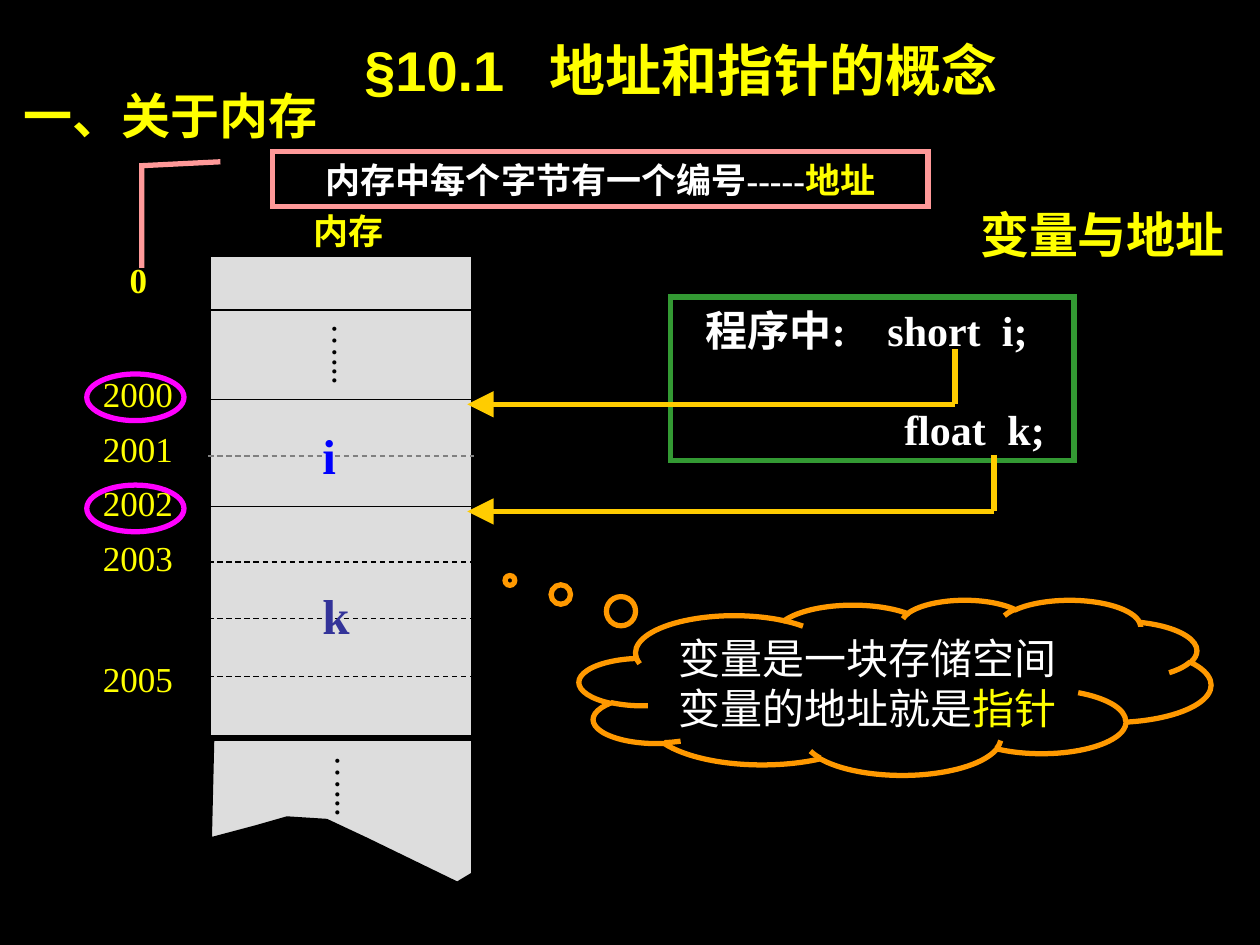
"""Build a slide about memory addresses and pointers."""
import pptx
import pptx.dml.color
import pptx.enum.dml
import pptx.enum.shapes
import pptx.enum.text
import pptx.oxml.ns
import pptx.util
from lxml import etree

Cm = pptx.util.Cm
Pt = pptx.util.Pt
SHAPE = pptx.enum.shapes.MSO_SHAPE
ALIGN = pptx.enum.text.PP_ALIGN
ANCHOR = pptx.enum.text.MSO_ANCHOR
qn = pptx.oxml.ns.qn

THEME = {
    "sans": "Arial", "serif": "Times New Roman",
    "bg": "000000", "text": "FFFFFF", "accent": "FFFF00",
    "memory": "DDDDDD", "ink": "000000", "faint": "808080",
    "ring": "FF00FF", "program": "339933", "callout": "FF9999",
    "arrow": "FFCC00", "cloud": "FF9900", "var_i": "0000FF", "var_k": "333399",
    "title": 32, "heading": 28, "body": 24, "label": 20, "thick": 3, "thin": 0.75,
}

TITLE = ("§10.1\t地址和指针的概念", (7.09, 0.58, 15.01, 1.8))
HEADINGS = [
    ("一、关于内存", (0.23, 1.6, 9.7, 1.8), 1),
    ("变量与地址", (19.51, 4.13, 5.89, 1.4), 0.9),
]
PROGRAM = [("程序中:\tshort\ti;", (3.66, 5.97)), ("\tfloat\tk;", (4, 6.08))]
CALLOUT = [[("内存中每个字节有一个编号-----", "text"), ("地址", "accent")]]
CLOUD = [[("变量是一块存储空间", "text")],
         [("变量的地址就是", "text"), ("指针", "accent")]]

MEM_LEFT, MEM_TOP, MEM_WIDTH, MEM_HEIGHT = 4.2, 5.13, 5.35, 9.75
MEM_RIGHT = MEM_LEFT + MEM_WIDTH
TORN_EDGE = [(4.27, 14.88), (9.55, 14.88), (9.55, 17.63), (9.22, 17.83), (7.39, 16.94),
             (6.58, 16.56), (5.79, 16.51), (5.16, 16.69), (4.22, 16.94)]
CELL_LINES = [(6.25, "ink", False), (8.05, "ink", False), (9.19, "faint", True),
              (10.21, "ink", False), (11.33, "ink", True), (12.47, "ink", True),
              (13.64, "ink", True), (14.86, "ink", False)]
SIDE_LINES = [(MEM_LEFT, 16.92), (MEM_RIGHT, 17.55)]
ADDRESSES = [("2000", 7.37), ("2001", 8.48), ("2002", 9.58), ("2003", 10.67), ("2005", 13.11)]
BOLD_LABELS = [("0", (2.36, 5.08, 0.86, 1.12)), ("内存", (6.07, 4.09, 1.9, 1.12))]
DOTS = [(6.32, 6.28), (6.38, 14.99)]
RING_TOPS = [7.54, 9.78]
VARIABLES = [("i", "var_i", (6.25, 8.46, 0.79, 1.45)), ("k", "var_k", (6.25, 11.68, 1.04, 1.45))]
POINTERS = [(19.25, 7.04, 8.15), (20.04, 9.17, 10.31)]
POINTER_TIP = 9.42


def color(name):
    return pptx.dml.color.RGBColor.from_string(THEME[name])


def paint(sp, fill=None, line=None):
    sp.shadow.inherit = False
    if fill:
        sp.fill.solid()
        sp.fill.fore_color.rgb = color(fill)
    else:
        sp.fill.background()
    sp.line.color.rgb = color(line)
    sp.line.width = Pt(THEME["thick"])
    etree.SubElement(sp.line._get_or_add_ln(), qn("a:miter"), lim="800000")


def add_shape(s, kind, box, fill=None, line=None, adjustments=()):
    sp = s.shapes.add_shape(kind, *map(Cm, box))
    for i, value in enumerate(adjustments):
        sp.adjustments[i] = value
    paint(sp, fill, line)
    return sp


def add_line(s, start, end, line, width, dash=False, arrow=False):
    sp = s.shapes.add_connector(pptx.enum.shapes.MSO_CONNECTOR.STRAIGHT, *map(Cm, start + end))
    sp.line.color.rgb = color(line)
    sp.line.width = Pt(THEME[width])
    if dash:
        sp.line.dash_style = pptx.enum.dml.MSO_LINE.DASH
    if arrow:
        etree.SubElement(sp.line._get_or_add_ln(), qn("a:tailEnd"),
                         type="triangle", w="lg", len="lg")
    etree.SubElement(sp._element.spPr, qn("a:effectLst"))


def add_tabs(p, positions):
    tabs = etree.SubElement(p._p.get_or_add_pPr(), qn("a:tabLst"))
    for position in positions:
        etree.SubElement(tabs, qn("a:tab"), pos=str(Cm(position)), algn="l")


def style(r, name, size, font="serif", bold=False):
    r.font.name = THEME[font]
    r.font.size = Pt(THEME[size])
    r.font.bold = bold
    r.font.color.rgb = color(name)


def write(sp, paragraphs, size, font="serif", bold=False, align=ALIGN.LEFT,
          anchor=ANCHOR.TOP, wrap=True):
    tf = sp.text_frame
    tf.word_wrap = wrap
    tf.vertical_anchor = anchor
    for i, runs in enumerate(paragraphs):
        p = tf.add_paragraph() if i else tf.paragraphs[0]
        p.alignment = align
        for text, name in runs:
            r = p.add_run()
            r.text = text
            style(r, name, size, font, bold)
    return tf


def add_text(s, text, box, name, size, **options):
    sp = s.shapes.add_textbox(*map(Cm, box))
    return write(sp, [[(text, name)]], size, **options)


def add_label(s, text, box, name="accent", bold=False):
    tf = add_text(s, text, box, name, "label", bold=bold, align=ALIGN.CENTER,
                  anchor=ANCHOR.MIDDLE, wrap=False)
    tf.margin_left = tf.margin_right = 0
    return tf


def add_headings(s):
    text, box = TITLE
    sp = s.shapes.title
    sp.left, sp.top, sp.width, sp.height = map(Cm, box)
    tf = write(sp, [[(text, "accent")]], "title", font="sans", bold=True)
    tf.auto_size = pptx.enum.text.MSO_AUTO_SIZE.NONE
    add_tabs(tf.paragraphs[0], [3.74])
    for text, box, spacing in HEADINGS:
        tf = add_text(s, text, box, "accent", "heading", font="sans", bold=True)
        tf.paragraphs[0].line_spacing = spacing


def add_program(s):
    sp = add_shape(s, SHAPE.RECTANGLE, (13.52, 5.99, 8.13, 3.3), line="program")
    tf = write(sp, [[(text, "text")] for text, _ in PROGRAM], "body", bold=True,
               anchor=ANCHOR.MIDDLE)
    tf.margin_left = Cm(0.71)
    tf.paragraphs[1].space_before = Pt(28)
    for p, (_, tabs) in zip(tf.paragraphs, PROGRAM):
        add_tabs(p, tabs)


def add_memory(s):
    builder = s.shapes.build_freeform(*map(Cm, TORN_EDGE[0]), scale=1.0)
    builder.add_line_segments([(Cm(x), Cm(y)) for x, y in TORN_EDGE[1:]], close=True)
    paint(builder.convert_to_shape(), "memory", "ink")
    add_shape(s, SHAPE.RECTANGLE, (MEM_LEFT, MEM_TOP, MEM_WIDTH, MEM_HEIGHT), "memory", "ink")
    for y, name, dash in CELL_LINES:
        add_line(s, (MEM_LEFT, y), (MEM_RIGHT, y), name, "thin", dash)
    for x, bottom in SIDE_LINES:
        add_line(s, (x, MEM_TOP + MEM_HEIGHT), (x, bottom), "ink", "thin")
    for x, y in DOTS:
        tf = add_label(s, "…...", (x, y, 1.35, 1.5), "ink")
        tf._txBody.bodyPr.set("vert", "eaVert")
    for text, y in ADDRESSES:
        add_label(s, text, (1.83, y, 1.9, 1.12))
    for text, box in BOLD_LABELS:
        add_label(s, text, box, bold=True)
    for text, name, box in VARIABLES:
        add_text(s, text, box, name, "heading", bold=True, wrap=False)


def main():
    prs = pptx.Presentation()
    prs.slide_width, prs.slide_height = Cm(25.4), Cm(19.05)
    s = prs.slides.add_slide(prs.slide_layouts[5])
    s.background.fill.solid()
    s.background.fill.fore_color.rgb = color("bg")

    for y in RING_TOPS:
        add_shape(s, SHAPE.OVAL, (1.75, y, 1.96, 0.94), line="ring")
    add_headings(s)
    add_program(s)
    sp = add_shape(s, SHAPE.LINE_CALLOUT_2, (5.5, 3.05, 13.21, 1.12), line="callout",
                   adjustments=(0.19, -0.08, 0.26, -0.2, 2.1, -0.2))
    write(sp, CALLOUT, "label", bold=True, align=ALIGN.CENTER, anchor=ANCHOR.MIDDLE)
    add_memory(s)
    for x, top, bottom in POINTERS:
        add_line(s, (x, top), (x, bottom), "arrow", "thick")
        add_line(s, (x, bottom), (POINTER_TIP, bottom), "arrow", "thick", arrow=True)
    sp = add_shape(s, SHAPE.CLOUD_CALLOUT, (11.68, 12.09, 12.73, 3.53), line="cloud",
                   adjustments=(-0.61, -0.61))
    write(sp, CLOUD, "body")
    prs.save("out.pptx")


if __name__ == "__main__":
    main()
